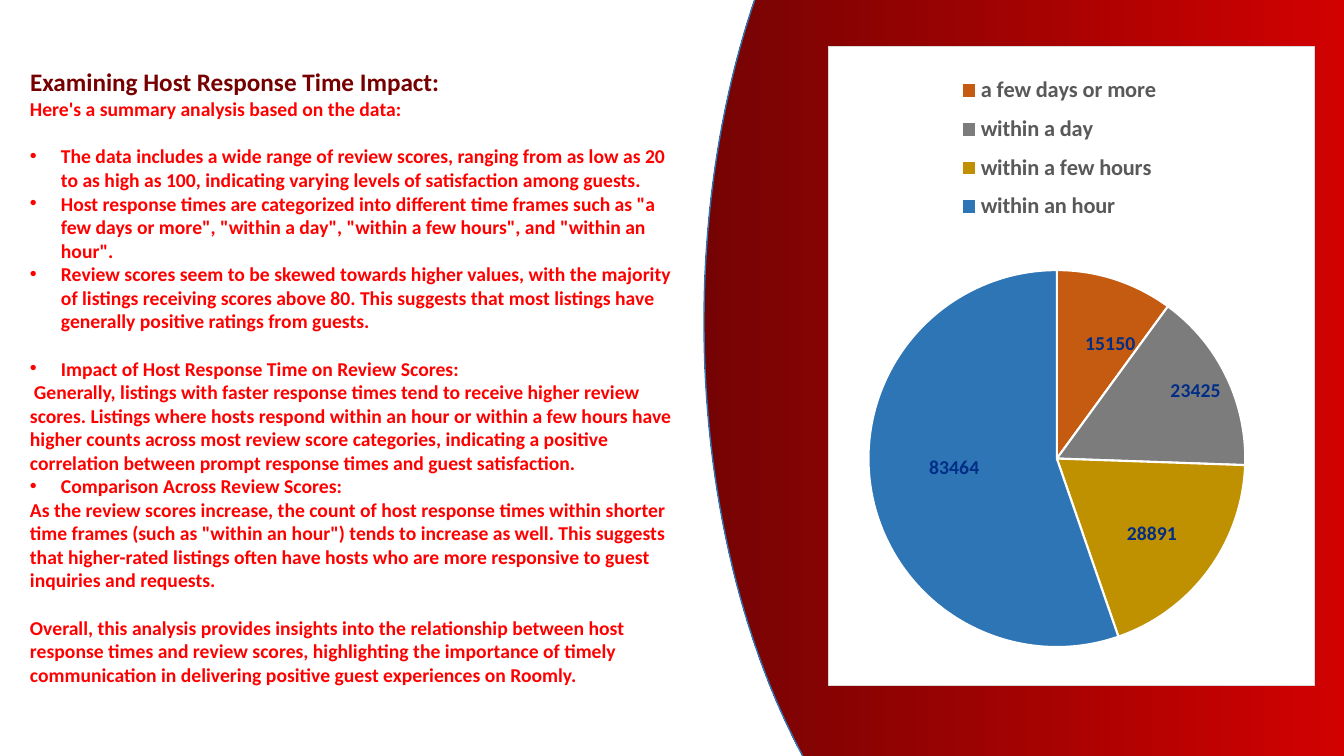
from lxml.etree import SubElement
from pptx import Presentation
from pptx.chart.data import CategoryChartData
from pptx.dml.color import RGBColor
from pptx.enum.chart import XL_CHART_TYPE as ChartType
from pptx.enum.chart import XL_LABEL_POSITION as LabelPos
from pptx.enum.chart import XL_LEGEND_POSITION as LegendPos
from pptx.enum.shapes import MSO_SHAPE as Shape
from pptx.enum.text import MSO_ANCHOR as Anchor
from pptx.enum.text import MSO_AUTO_SIZE as AutoSize
from pptx.enum.text import PP_ALIGN as Align
from pptx.oxml import parse_xml
from pptx.oxml.ns import nsdecls, qn
from pptx.util import Emu, Pt

PX = 914400 / 100.8
FONT = "Calibri"
WHITE = RGBColor(0xFF, 0xFF, 0xFF)
BLACK = RGBColor(0x00, 0x00, 0x00)
RED = RGBColor(0xFF, 0x00, 0x00)
MAROON = RGBColor(0x76, 0x00, 0x00)
BRIGHT_RED = RGBColor(0xE3, 0x00, 0x00)
DARK_RED = RGBColor(0x76, 0x03, 0x03)
BLUE = RGBColor(0x2E, 0x75, 0xB6)
NAVY = RGBColor(0x00, 0x2D, 0x86)
GREY = RGBColor(0x59, 0x59, 0x59)
BORDER = RGBColor(0xD9, 0xD9, 0xD9)
ORANGE = RGBColor(0xC5, 0x5A, 0x11)
MID_GREY = RGBColor(0x7C, 0x7C, 0x7C)
GOLD = RGBColor(0xBF, 0x90, 0x00)
PALE_BLUE = RGBColor(0x44, 0x72, 0xC4)

# Analysis text: wording, bulleted, gap above in points, first-line shift in px
ANALYSIS = [
    ("Here's a summary analysis based on the data:", False, 0, 0),
    ("The data includes a wide range of review scores, ranging from as low as 20 to as high "
     "as 100, indicating varying levels of satisfaction among guests.", True, 17, 0),
    ('Host response times are categorized into different time frames such as "a few days or '
     'more", "within a day", "within a few hours", and "within an hour".', True, 0, 0),
    ("Review scores seem to be skewed towards higher values, with the majority of listings "
     "receiving scores above 80. This suggests that most listings have generally positive "
     "ratings from guests.", True, 0, 0),
    ("Impact of Host Response Time on Review Scores:", True, 17, 0),
    ("Generally, listings with faster response times tend to receive higher review scores. "
     "Listings where hosts respond within an hour or within a few hours have higher counts "
     "across most review score categories, indicating a positive correlation between prompt "
     "response times and guest satisfaction.", False, 0, 4),
    ("Comparison Across Review Scores:", True, 0, 0),
    ("As the review scores increase, the count of host response times within shorter time "
     'frames (such as "within an hour") tends to increase as well. This suggests that '
     "higher-rated listings often have hosts who are more responsive to guest inquiries and "
     "requests.", False, 0, 0),
    ("Overall, this analysis provides insights into the relationship between host response "
     "times and review scores, highlighting the importance of timely communication in "
     "delivering positive guest experiences on Roomly.", False, 17, 0),
]

# Response times: category, count, slice colour, label shift from the slice centre
RESPONSE_TIMES = [
    ("a few days or more", 15150, ORANGE, (0.05, -0.04)),
    ("within a day", 23425, MID_GREY, None),
    ("within a few hours", 28891, GOLD, (0.04, 0.03)),
    ("within an hour", 83464, BLUE, (-0.02, -0.01)),
    ("(blank)", None, PALE_BLUE, None),
]


def px(length):
    return Emu(round(length * PX))


def set_font(font, size, color, bold=True):
    font.name, font.size, font.bold = FONT, Pt(size), bold
    font.color.rgb = color


def write(paragraph, text, size=14, color=RED, bullet=False, gap=0, shift=0):
    run = paragraph.add_run()
    run.text = text
    set_font(run.font, size, color)
    paragraph.alignment = Align.LEFT
    paragraph.line_spacing = 1.0
    paragraph.space_before = Pt(gap)
    props = paragraph._p.get_or_add_pPr()
    hang = px(31) if bullet else 0
    props.set("marL", str(hang))
    props.set("indent", str(px(shift) - hang))
    if bullet:
        SubElement(props, qn("a:buFont")).set("typeface", "Arial")
        SubElement(props, qn("a:buChar")).set("char", "•")


def manual_layout(x, y, size=None, inner=False):
    values = {"x": x, "y": y}
    modes = ""
    if size:
        modes = '<c:xMode val="edge"/><c:yMode val="edge"/>'
        values.update(w=size[0], h=size[1])
    if inner:
        modes = '<c:layoutTarget val="inner"/>' + modes
    body = "".join(f'<c:{key} val="{value}"/>' for key, value in values.items())
    return parse_xml(f'<c:layout {nsdecls("c")}><c:manualLayout>{modes}{body}'
                     "</c:manualLayout></c:layout>")


def set_layout(parent, layout, after=None):
    for old in parent.findall(qn("c:layout")):
        parent.remove(old)
    if after is None:
        parent.insert(0, layout)
    else:
        parent.find(qn(after)).addnext(layout)


class ResponseSlide:
    def __init__(self, deck):
        self.slide = deck.slides.add_slide(deck.slide_layouts[5])
        self.shapes = self.slide.shapes

    def frame(self, shape, box):
        shape.left, shape.top, shape.width, shape.height = map(px, box)
        frame = shape.text_frame
        frame.word_wrap = True
        frame.auto_size = AutoSize.NONE
        frame.vertical_anchor = Anchor.TOP
        frame.margin_left = frame.margin_right = px(10)
        frame.margin_top = frame.margin_bottom = px(5)
        return frame

    def title(self, text, box):
        frame = self.frame(self.shapes.title, box)
        write(frame.paragraphs[0], text, size=18, color=MAROON)

    def analysis(self, items, box):
        frame = self.frame(self.shapes.add_textbox(0, 0, 0, 0), box)
        for i, (text, bullet, gap, shift) in enumerate(items):
            paragraph = frame.add_paragraph() if i else frame.paragraphs[0]
            write(paragraph, text, bullet=bullet, gap=gap, shift=shift)

    def backdrop(self, box):
        curve = self.shapes.add_shape(Shape.OVAL, *map(px, box))
        curve.rotation = 90
        curve.shadow.inherit = False
        curve.fill.gradient()
        curve.fill.gradient_angle = 270
        for stop, color in zip(curve.fill.gradient_stops, (BRIGHT_RED, DARK_RED)):
            stop.color.rgb = color
        curve.line.color.rgb = BLUE
        curve.line.width = Pt(1)

    def pie(self, rows, box):
        data = CategoryChartData()
        data.categories = [row[0] for row in rows]
        data.add_series("Series 1", [row[1] for row in rows])
        chart = self.shapes.add_chart(ChartType.PIE, *map(px, box), data).chart
        chart.has_title = False
        set_font(chart.font, 14, BLACK, bold=False)

        # White panel with a thin border
        body = chart._chartSpace.find(qn("c:chart"))
        body.addprevious(parse_xml(f'<c:roundedCorners {nsdecls("c")} val="0"/>'))
        body.addnext(parse_xml(
            f'<c:spPr {nsdecls("c", "a")}><a:solidFill><a:srgbClr val="{WHITE}"/></a:solidFill>'
            f'<a:ln w="{Pt(0.75)}"><a:solidFill><a:srgbClr val="{BORDER}"/></a:solidFill></a:ln>'
            "</c:spPr>"))
        set_layout(body.find(qn("c:plotArea")), manual_layout(0.08, 0.35, (0.78, 0.59), inner=True))

        # Legend without the blank category
        chart.has_legend = True
        legend = chart.legend
        legend.position = LegendPos.TOP
        legend.include_in_layout = False
        set_font(legend.font, 16, GREY)
        set_layout(legend._element, manual_layout(0.25, 0.03, (0.45, 0.26)), after="c:legendPos")
        legend._element.find(qn("c:legendPos")).addnext(parse_xml(
            f'<c:legendEntry {nsdecls("c")}><c:idx val="{len(rows) - 1}"/>'
            '<c:delete val="1"/></c:legendEntry>'))

        # Slices and their counts
        plot = chart.plots[0]
        plot.vary_by_categories = True
        series = plot.series[0]
        labels = series.data_labels
        labels.show_value = True
        labels.show_percentage = False
        labels.position = LabelPos.INSIDE_END
        set_font(labels.font, 14, NAVY)
        for i, (_, _, color, shift) in enumerate(rows):
            piece = series.points[i]
            piece.format.fill.solid()
            piece.format.fill.fore_color.rgb = color
            piece.format.line.color.rgb = WHITE
            piece.format.line.width = Pt(1.5)
            if shift:
                set_font(piece.data_label.font, 14, NAVY)
                piece.data_label.position = LabelPos.CENTER
                label = labels._element.findall(qn("c:dLbl"))[-1]
                set_layout(label, manual_layout(*shift), after="c:idx")


def main():
    deck = Presentation()
    deck.slide_width, deck.slide_height = px(1344), px(756)
    page = ResponseSlide(deck)
    page.backdrop((438, -56, 1288, 756))
    page.pie(RESPONSE_TIMES, (828, 46, 487, 640))
    page.title("Examining Host Response Time Impact:", (20, 61, 674, 36))
    page.analysis(ANALYSIS, (20, 92, 674, 610))
    deck.save("out.pptx")


if __name__ == "__main__":
    main()
